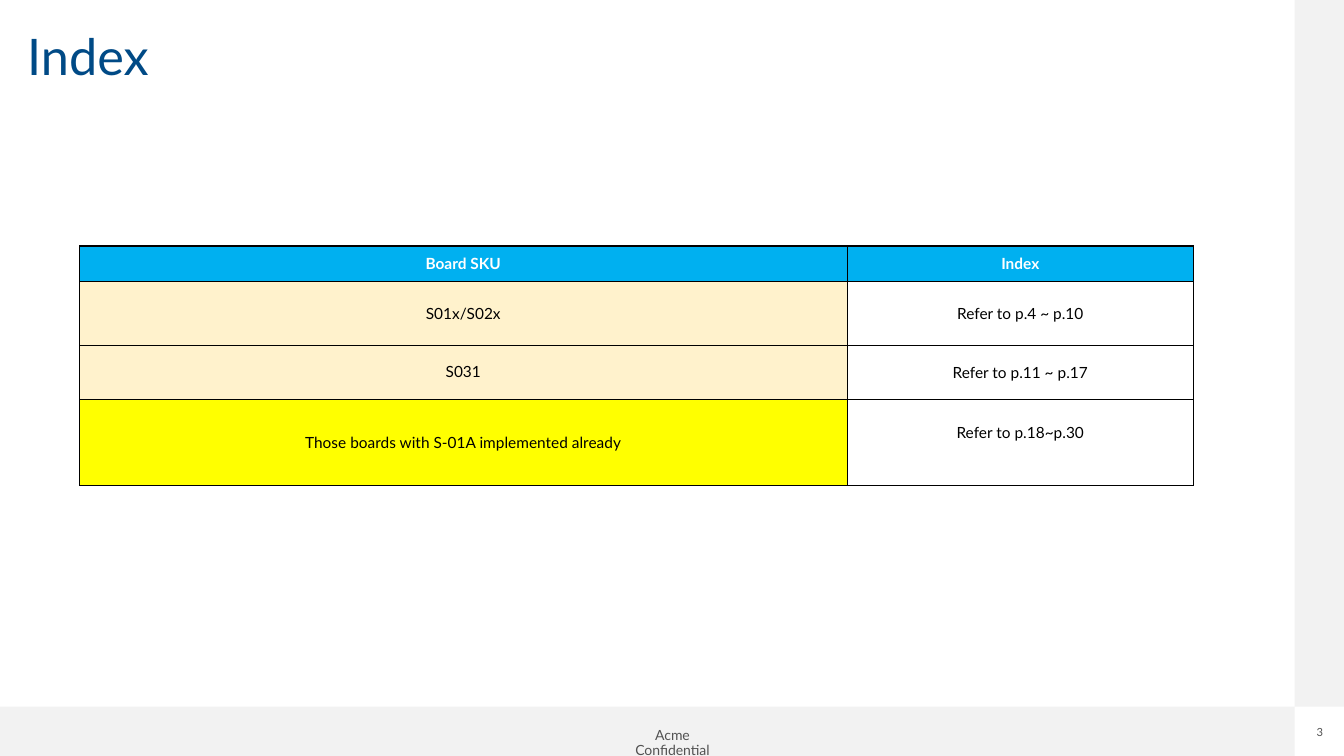
from lxml import etree
from pptx import Presentation
from pptx.dml.color import RGBColor
from pptx.enum import shapes, text
from pptx.oxml import ns
from pptx.util import Inches, Pt

FONT = "Lato"
COLORS = {
    "title": "004A86", "band": "F2F2F2", "footer": "525252",
    "line": "000000", "text": "000000", "white": "FFFFFF",
    "head": "00B0F0", "cream": "FFF2CC", "yellow": "FFFF00",
}
COLS = [7.61, 3.44]
# Row height, then text and fill of each cell
ROWS = [
    (0.35, ("Board SKU", "head"), ("Index", "head")),
    (0.64, ("S01x/S02x", "cream"), ("Refer to p.4 ~ p.10", None)),
    (0.53, ("S031", "cream"), ("Refer to p.11 ~ p.17", None)),
    (0.86, ("Those boards with S-01A implemented already", "yellow"),
     ("Refer to p.18~p.30", None)),
]


def rgb(name):
    return RGBColor.from_string(COLORS[name])


def write(frame, words, size, color, align=text.PP_ALIGN.CENTER, bold=False):
    frame.text = words
    para = frame.paragraphs[0]
    para.alignment = align
    font = para.runs[0].font
    font.name, font.size, font.bold = FONT, Pt(size), bold
    font.color.rgb = rgb(color)


def inset(item, left, top, right, bottom):
    """Set the margins of a text frame or a table cell."""
    item.margin_left, item.margin_top = Inches(left), Inches(top)
    item.margin_right, item.margin_bottom = Inches(right), Inches(bottom)


def add_band(slide, *box):
    band = slide.shapes.add_shape(shapes.MSO_SHAPE.RECTANGLE, *map(Inches, box))
    band.shadow.inherit = False
    band.fill.solid()
    band.fill.fore_color.rgb = rgb("band")
    band.line.fill.background()


def add_label(slide, words, size, pad, *box):
    frame = slide.shapes.add_textbox(*map(Inches, box)).text_frame
    frame.word_wrap = False
    inset(frame, 2 * pad, pad, 2 * pad, pad)
    write(frame, words, size, "footer")
    return frame


def set_title(slide, words):
    title = slide.shapes.title
    title.left, title.top = Inches(0.27), Inches(0.25)
    title.width, title.height = Inches(9.21), Inches(0.61)
    frame = title.text_frame
    inset(frame, 0, 0, 0, 0)
    frame.vertical_anchor = text.MSO_ANCHOR.TOP
    write(frame, words, 36, "title", text.PP_ALIGN.LEFT)


def add_border(cell, side, width):
    props = cell._tc.get_or_add_tcPr()
    line = etree.SubElement(props, ns.qn(f"a:ln{side}"), w=str(Pt(width)))
    fill = etree.SubElement(line, ns.qn("a:solidFill"))
    etree.SubElement(fill, ns.qn("a:srgbClr"), val=COLORS["line"])


def fill_cell(cell, words, fill, head, first):
    widths = {"L": 1 if first else 0.5, "R": 0.5 if first else 1, "T": 1, "B": 1}
    for side, width in widths.items():
        add_border(cell, side, width)
    if fill:
        cell.fill.solid()
        cell.fill.fore_color.rgb = rgb(fill)
        inset(cell, 0.01, 0.01, 0.01, 0)
    else:
        cell.fill.background()
    cell.vertical_anchor = text.MSO_ANCHOR.MIDDLE
    write(cell.text_frame, words, 11, "white" if head else "text", bold=head)
    if fill:
        cell.text_frame.paragraphs[0].line_spacing = 0.9


def add_index(slide):
    height = sum(row[0] for row in ROWS)
    box = map(Inches, (0.79, 2.44, sum(COLS), height))
    table = slide.shapes.add_table(len(ROWS), len(COLS), *box).table
    for col, width in zip(table.columns, COLS):
        col.width = Inches(width)
    for r, (tall, *cells) in enumerate(ROWS):
        table.rows[r].height = Inches(tall)
        for c, (words, fill) in enumerate(cells):
            fill_cell(table.cell(r, c), words, fill, r == 0, c == 0)
    last = table.cell(len(ROWS) - 1, 1)
    last.vertical_anchor = text.MSO_ANCHOR.TOP
    last.margin_top = Inches(0.24)


def main():
    deck = Presentation()
    deck.slide_width, deck.slide_height = Inches(13.33), Inches(7.5)
    slide = deck.slides.add_slide(deck.slide_layouts[5])
    add_band(slide, 0, 7.01, 12.84, 0.49)
    add_band(slide, 12.84, 0, 0.49, 7.01)
    note = add_label(slide, "Acme Confidential", 10, 0.05, 6.02, 7.18, 1.3, 0.25)
    note.paragraphs[0].line_spacing = 0.9
    add_label(slide, "3", 8, 0, 13.02, 7.2, 0.14, 0.13)
    set_title(slide, "Index")
    add_index(slide)
    deck.save("out.pptx")


if __name__ == "__main__":
    main()
